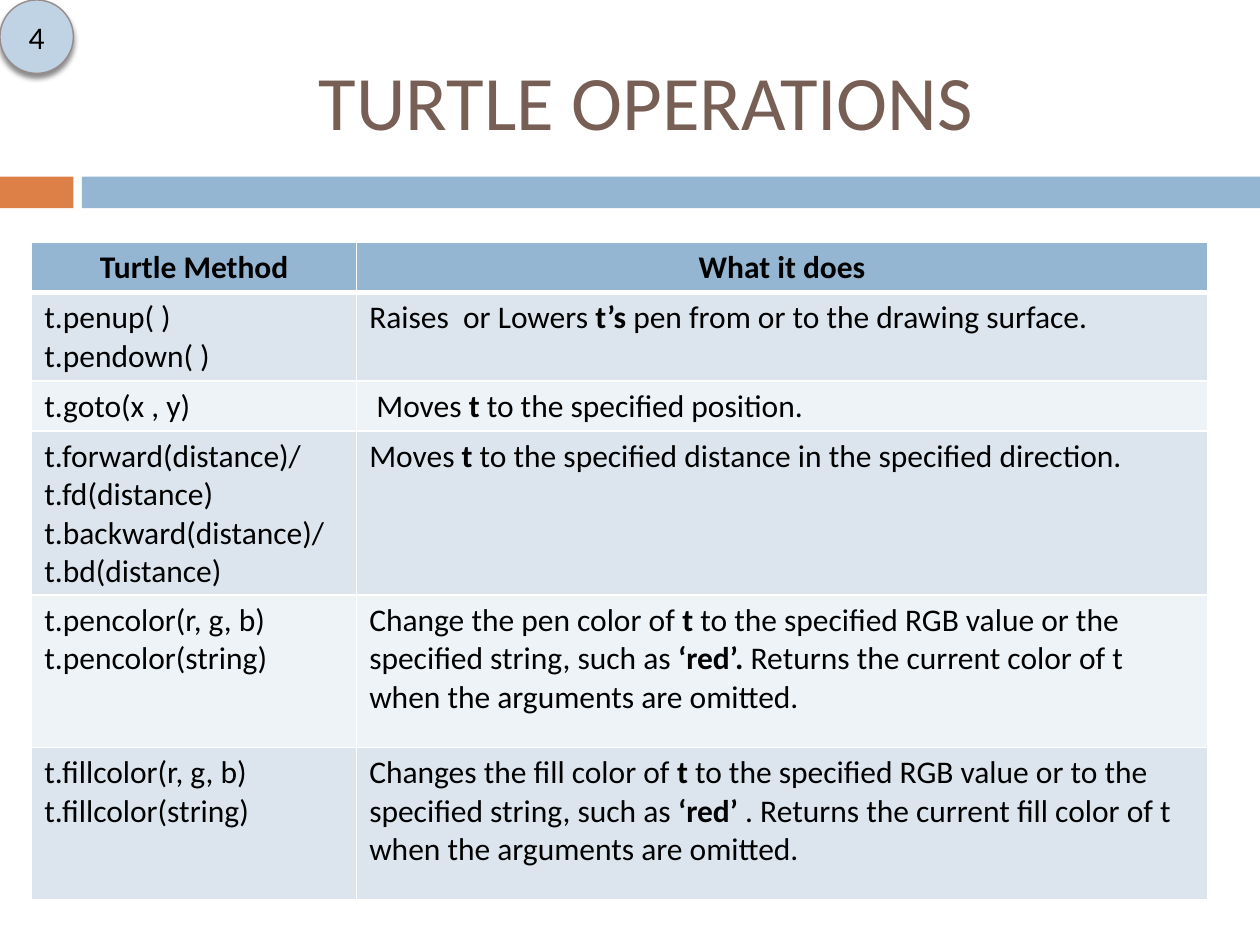
from lxml.etree import SubElement
from pptx import Presentation
from pptx.dml.color import RGBColor
from pptx.enum.shapes import MSO_SHAPE
from pptx.enum.text import MSO_ANCHOR, PP_ALIGN
from pptx.oxml import parse_xml
from pptx.oxml.ns import nsdecls, qn
from pptx.util import Cm, Pt

FONT = "Calibri"
BLACK = RGBColor(0x00, 0x00, 0x00)
BROWN = RGBColor(0x77, 0x5F, 0x55)
ORANGE = RGBColor(0xDD, 0x80, 0x47)
BLUE = RGBColor(0x94, 0xB6, 0xD2)
BADGE_BLUE = RGBColor(0xBF, 0xD3, 0xE4)
BADGE_LINE = RGBColor(0x96, 0x8C, 0x8C)
BAND_DARK = RGBColor(0xDC, 0xE5, 0xEE)
BAND_LIGHT = RGBColor(0xEE, 0xF3, 0xF7)

# Row height in cm, method lines, description (** switches bold on and off)
ROWS = [
    (0.97, ["**Turtle Method**"], "**What it does**"),
    (1.65, ["t.penup( )", "t.pendown( )"],
     "Raises  or Lowers **t’s** pen from or to the drawing surface."),
    (0.97, ["t.goto(x , y)"], " Moves** t **to the specified position."),
    (2.77, ["t.forward(distance)/", "t.fd(distance)",
            "t.backward(distance)/t.bd(distance)"],
     "Moves** t **to the specified distance in the specified direction."),
    (3.07, ["t.pencolor(r, g, b)", "t.pencolor(string)"],
     "Change the pen color of **t** to the specified RGB value or the specified "
     "string, such as **‘red’. **Returns the current color of t when the "
     "arguments are omitted."),
    (3.07, ["t.fillcolor(r, g, b)", "t.fillcolor(string)"],
     "Changes the fill color of **t** to the specified RGB value or to the "
     "specified string, such as **‘red’ **. Returns the current fill color of t "
     "when the arguments are omitted."),
]


def style_paragraph(paragraph, size, color, alignment):
    paragraph.alignment = alignment
    paragraph.font.name = FONT
    paragraph.font.size = Pt(size)
    paragraph.font.color.rgb = color


def set_borders(cell, bottom_width):
    properties = cell._tc.get_or_add_tcPr()
    widths = {"lnL": 1, "lnR": 1, "lnT": 1, "lnB": bottom_width}
    for position, (tag, width) in enumerate(widths.items()):
        properties.insert(position, parse_xml(
            f'<a:{tag} {nsdecls("a")} w="{Pt(width)}"><a:solidFill>'
            f'<a:srgbClr val="FFFFFF"/></a:solidFill></a:{tag}>'))


presentation = Presentation()
presentation.slide_width = Cm(25.4)
presentation.slide_height = Cm(19.05)
slide = presentation.slides.add_slide(presentation.slide_layouts[6])

# Divider bars
for left, width, color in [(0, 1.48, ORANGE), (1.65, 23.75, BLUE)]:
    bar = slide.shapes.add_shape(
        MSO_SHAPE.RECTANGLE, Cm(left), Cm(3.56), Cm(width), Cm(0.64))
    bar.shadow.inherit = False
    bar.fill.solid()
    bar.fill.fore_color.rgb = color
    bar.line.fill.background()

# Title
title = slide.shapes.add_textbox(Cm(1.7), Cm(0.64), Cm(22.66), Cm(2.74))
title.text_frame.word_wrap = True
title.text_frame.vertical_anchor = MSO_ANCHOR.MIDDLE
title.text_frame.text = "TURTLE OPERATIONS"
style_paragraph(title.text_frame.paragraphs[0], 44, BROWN, PP_ALIGN.CENTER)

# Table of methods
column_widths = [6.55, 17.15]
table = slide.shapes.add_table(
    len(ROWS), 2, Cm(0.64), Cm(4.88), Cm(sum(column_widths)),
    Cm(sum(row[0] for row in ROWS))).table
for column, width in zip(table.columns, column_widths):
    column.width = Cm(width)

for row_index, (height, methods, description) in enumerate(ROWS):
    table.rows[row_index].height = Cm(height)
    is_header = row_index == 0
    band = BLUE if is_header else BAND_DARK if row_index % 2 else BAND_LIGHT
    for column_index, lines in enumerate([methods, [description]]):
        cell = table.cell(row_index, column_index)
        cell.fill.solid()
        cell.fill.fore_color.rgb = band
        set_borders(cell, 3 if is_header else 1)
        cell.text = "\n".join([""] * len(lines))
        for paragraph, line in zip(cell.text_frame.paragraphs, lines):
            style_paragraph(paragraph, 18, BLACK,
                            PP_ALIGN.CENTER if is_header else PP_ALIGN.LEFT)
            for part_index, part in enumerate(line.split("**")):
                if part:
                    run = paragraph.add_run()
                    run.text = part
                    run.font.bold = part_index % 2 == 1

# Slide number badge with a soft shadow
badge = slide.shapes.add_shape(MSO_SHAPE.OVAL, 0, 0, Cm(1.48), Cm(1.48))
badge.fill.solid()
badge.fill.fore_color.rgb = BADGE_BLUE
badge.line.color.rgb = BADGE_LINE
badge.line.width = Pt(0.79)
badge.shadow.inherit = False
effects = badge._element.spPr.find(qn("a:effectLst"))
shadow = SubElement(effects, qn("a:outerShdw"), blurRad=str(Pt(3)),
                    dist=str(Pt(2.4)), dir="5400000", rotWithShape="0")
shadow_color = SubElement(shadow, qn("a:srgbClr"), val="000000")
SubElement(shadow_color, qn("a:alpha"), val="45000")
frame = badge.text_frame
frame.margin_left = frame.margin_right = frame.margin_top = frame.margin_bottom = 0
frame.vertical_anchor = MSO_ANCHOR.MIDDLE
frame.text = "4"
style_paragraph(frame.paragraphs[0], 18, BLACK, PP_ALIGN.CENTER)

presentation.save("out.pptx")
